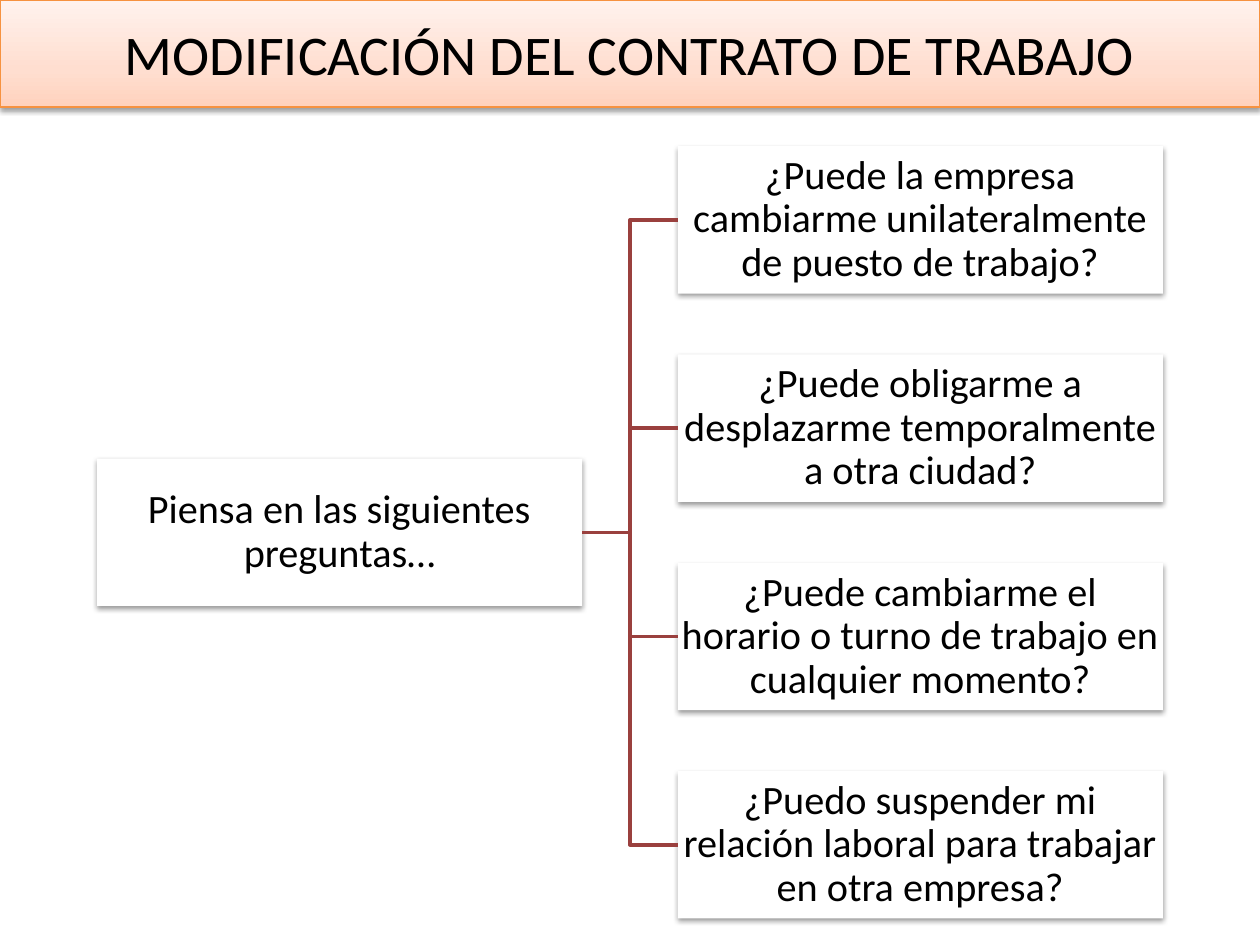
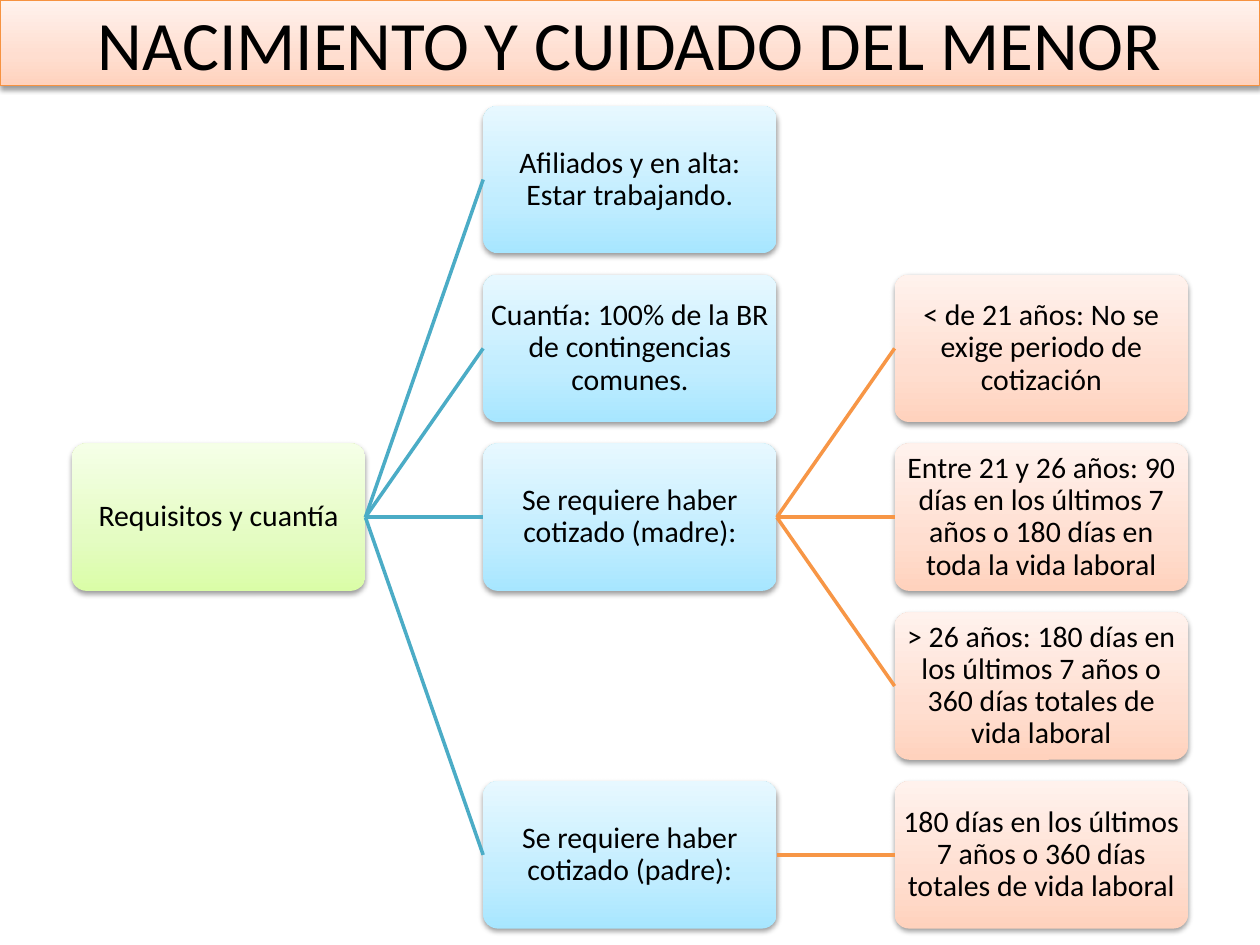
from dataclasses import dataclass

from lxml.etree import SubElement
from pptx import Presentation
from pptx.dml.color import RGBColor
from pptx.enum.shapes import MSO_CONNECTOR as Connector, MSO_SHAPE as Preset
from pptx.enum.text import MSO_ANCHOR as Anchor, PP_ALIGN as Align
from pptx.oxml import parse_xml
from pptx.oxml.ns import nsdecls, qn
from pptx.util import Inches, Pt

SLIDE_WIDTH, SLIDE_HEIGHT = Inches(10), Inches(7.5)
LEFT_SIDE, RIGHT_SIDE = 1, 3


@dataclass(frozen=True)
class Theme:
    """Colours, gradients (bottom to top) and type sizes of the deck."""
    font: str = "Calibri"
    text: str = "000000"
    white: tuple = ("FFFFFF",)
    peach: tuple = ("FFD2BD", "FFDED0", "FFF2ED")
    lime: tuple = ("DAFDA7", "E4FCC2", "F5FFE7")
    sky: tuple = ("A7E6FF", "C1EDFF", "E7F8FF")
    band_line: str = "F69240"
    red: str = "9A403E"
    teal: str = "4BACC6"
    orange: str = "F79646"
    title_size: float = 32
    large_title_size: float = 39.6
    question_size: float = 23
    requirement_size: float = 17
    band_line_width: float = 0.75
    branch_width: float = 2


THEME = Theme()


@dataclass(frozen=True)
class Box:
    """A rectangle in percent of the slide's width and height."""
    left: float
    top: float
    width: float
    height: float

    def lengths(self):
        """Return left, top, width and height as slide lengths."""
        return (int(SLIDE_WIDTH * self.left / 100), int(SLIDE_HEIGHT * self.top / 100),
                int(SLIDE_WIDTH * self.width / 100), int(SLIDE_HEIGHT * self.height / 100))


@dataclass(frozen=True)
class TreeStyle:
    """Grid, node size and look of a tree, with one entry per column of colours."""
    columns: int
    rows: int
    node_width: float
    node_height: float
    preset: Preset
    connector: Connector
    fills: tuple
    branches: tuple
    size: float
    inset: float


@dataclass(frozen=True)
class Node:
    """A text on a grid row, with the nodes that branch from it."""
    text: str
    row: float
    children: tuple = ()


QUESTION_STYLE = TreeStyle(
    2, 4, 38.5, 15.6, Preset.RECTANGLE, Connector.ELBOW,
    (THEME.white, THEME.white), (THEME.red,), THEME.question_size, 0.02)
REQUIREMENT_STYLE = TreeStyle(
    3, 5, 23.3, 15.6, Preset.ROUNDED_RECTANGLE, Connector.STRAIGHT,
    (THEME.lime, THEME.sky, THEME.peach), (THEME.teal, THEME.orange),
    THEME.requirement_size, 0.01)

QUESTIONS = Node("Piensa en las siguientes preguntas…", 1.5, (
    Node("¿Puede la empresa cambiarme unilateralmente de puesto de trabajo?", 0),
    Node("¿Puede obligarme a desplazarme temporalmente a otra ciudad?", 1),
    Node("¿Puede cambiarme el horario o turno de trabajo en cualquier momento?", 2),
    Node("¿Puedo suspender mi relación laboral para trabajar en otra empresa?", 3),
))
REQUIREMENTS = Node("Requisitos y cuantía", 2, (
    Node("Afiliados y en alta: Estar trabajando.", 0),
    Node("Cuantía: 100% de la BR de contingencias comunes.", 1),
    Node("Se requiere haber cotizado (madre):", 2, (
        Node("< de 21 años: No se exige periodo de cotización", 1),
        Node("Entre 21 y 26 años: 90 días en los últimos 7 años o 180 días en toda la vida laboral", 2),
        Node("> 26 años: 180 días en los últimos 7 años o 360 días totales de vida laboral", 3),
    )),
    Node("Se requiere haber cotizado (padre):", 4, (
        Node("180 días en los últimos 7 años o 360 días totales de vida laboral", 4),
    )),
))


def paint(shape, colours):
    """Fill a shape with one colour or with a three-stop upward gradient."""
    if len(colours) == 1:
        shape.fill.solid()
        shape.fill.fore_color.rgb = RGBColor.from_string(colours[0])
        return
    shape.fill.gradient()
    shape.fill.gradient_angle = 90
    stops = shape._element.spPr.find(qn("a:gradFill")).find(qn("a:gsLst"))
    for stop in list(stops):
        stops.remove(stop)
    for position, colour in zip((0, 35000, 100000), colours):
        stop = SubElement(stops, qn("a:gs"), pos=str(position))
        SubElement(stop, qn("a:srgbClr"), val=colour)


def add_shadow(shape):
    """Give a shape the soft shadow below it that all boxes share."""
    shape.shadow.inherit = False
    shape._element.spPr.find(qn("a:effectLst")).append(parse_xml(
        f'<a:outerShdw {nsdecls("a")} blurRad="40000" dist="20000" dir="5400000" rotWithShape="0">'
        '<a:srgbClr val="000000"><a:alpha val="38000"/></a:srgbClr></a:outerShdw>'))


def add_panel(slide, preset, box, colours, text, size):
    """Add a shaded shape with centred text."""
    shape = slide.shapes.add_shape(preset, *box.lengths())
    paint(shape, colours)
    shape.line.fill.background()
    add_shadow(shape)
    frame = shape.text_frame
    frame.text = text
    frame.word_wrap = True
    frame.vertical_anchor = Anchor.MIDDLE
    paragraph = frame.paragraphs[0]
    paragraph.alignment = Align.CENTER
    font = paragraph.runs[0].font
    font.name, font.size = THEME.font, Pt(size)
    font.color.rgb = RGBColor.from_string(THEME.text)
    return shape


def set_line(line, colour, width):
    """Set the colour and width of a line."""
    line.color.rgb = RGBColor.from_string(colour)
    line.width = Pt(width)


def add_title_band(slide, box, text, size):
    """Add the outlined peach band that carries the title."""
    band = add_panel(slide, Preset.RECTANGLE, box, THEME.peach, text, size)
    set_line(band.line, THEME.band_line, THEME.band_line_width)


def add_branch(slide, parent, child, kind, colour):
    """Join the right side of a parent to the left side of its child."""
    branch = slide.shapes.add_connector(kind, 0, 0, 0, 0)
    branch.begin_connect(parent, RIGHT_SIDE)
    branch.end_connect(child, LEFT_SIDE)
    set_line(branch.line, colour, THEME.branch_width)
    SubElement(branch._element.spPr, qn("a:effectLst"))


def add_tree(slide, box, style, node, column=0):
    """Place a node and its descendants on the grid of the box."""
    column_step = (box.width - style.node_width) / (style.columns - 1)
    row_step = (box.height - style.node_height) / (style.rows - 1)
    node_box = Box(box.left + column * column_step, box.top + node.row * row_step,
                   style.node_width, style.node_height)
    shape = add_panel(slide, style.preset, node_box, style.fills[column], node.text, style.size)
    if style.preset == Preset.ROUNDED_RECTANGLE:
        shape.adjustments[0] = 0.1
    frame = shape.text_frame
    frame.margin_left = frame.margin_right = Inches(style.inset)
    frame.margin_top = frame.margin_bottom = Inches(style.inset)
    frame.paragraphs[0].line_spacing = 0.9
    for child in node.children:
        child_shape = add_tree(slide, box, style, child, column + 1)
        add_branch(slide, shape, child_shape, style.connector, style.branches[column])
    return shape


def add_blank_slide(presentation):
    """Add a slide with the blank layout."""
    return presentation.slides.add_slide(presentation.slide_layouts[6])


def add_questions_slide(presentation):
    """Build the slide of questions on changing a contract."""
    slide = add_blank_slide(presentation)
    add_title_band(slide, Box(0, 0, 100, 11.33), "MODIFICACIÓN DEL CONTRATO DE TRABAJO",
                   THEME.title_size)
    add_tree(slide, Box(7.7, 15.47, 84.6, 81.73), QUESTION_STYLE, QUESTIONS)


def add_requirements_slide(presentation):
    """Build the slide of requirements for birth and child care."""
    slide = add_blank_slide(presentation)
    add_tree(slide, Box(5.7, 11.2, 88.6, 87.07), REQUIREMENT_STYLE, REQUIREMENTS)
    add_title_band(slide, Box(0, 0, 100, 9.07), "NACIMIENTO Y CUIDADO DEL MENOR",
                   THEME.large_title_size)


def main():
    """Build and save the presentation."""
    presentation = Presentation()
    presentation.slide_width, presentation.slide_height = SLIDE_WIDTH, SLIDE_HEIGHT
    add_questions_slide(presentation)
    add_requirements_slide(presentation)
    presentation.save("out.pptx")


if __name__ == "__main__":
    main()
